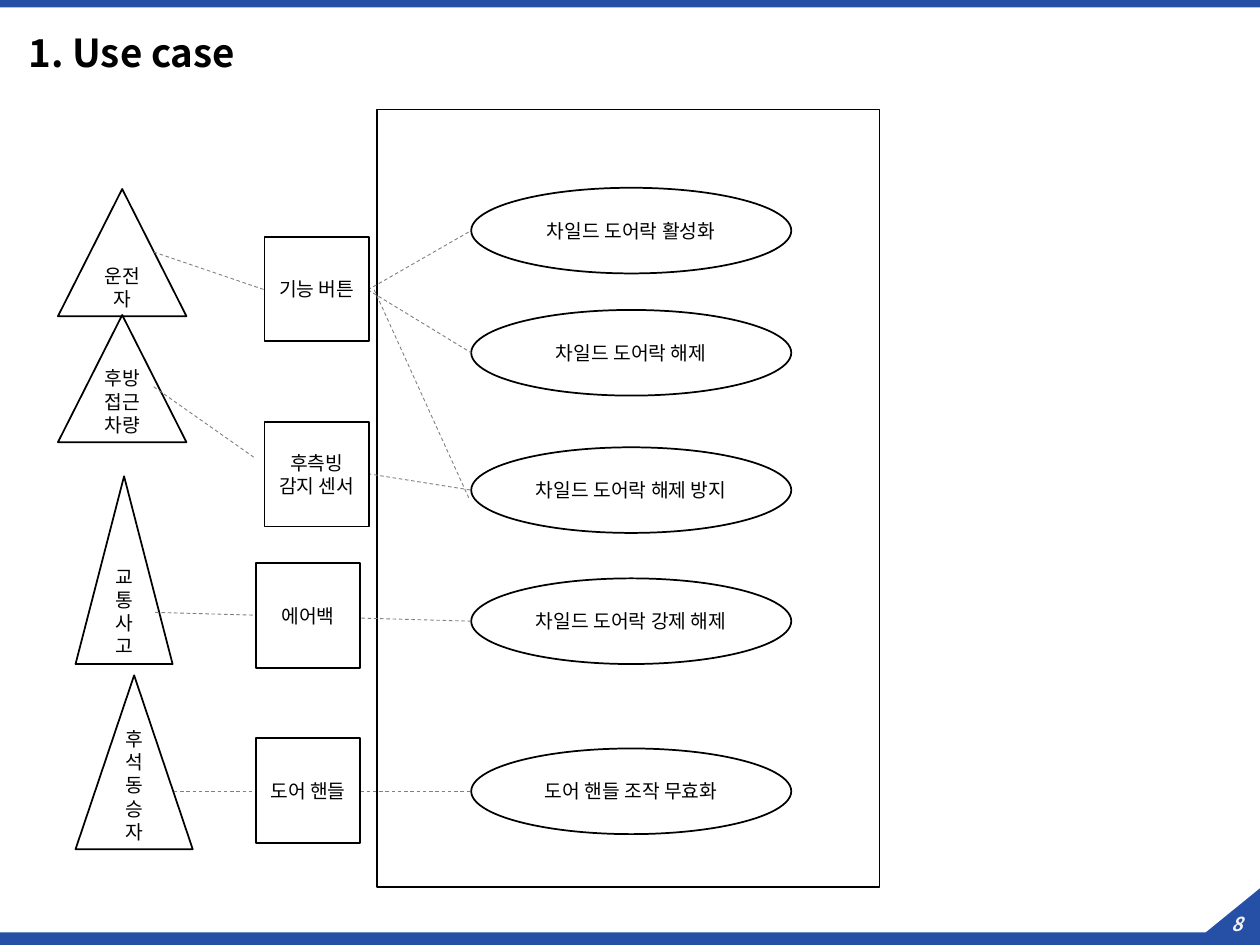
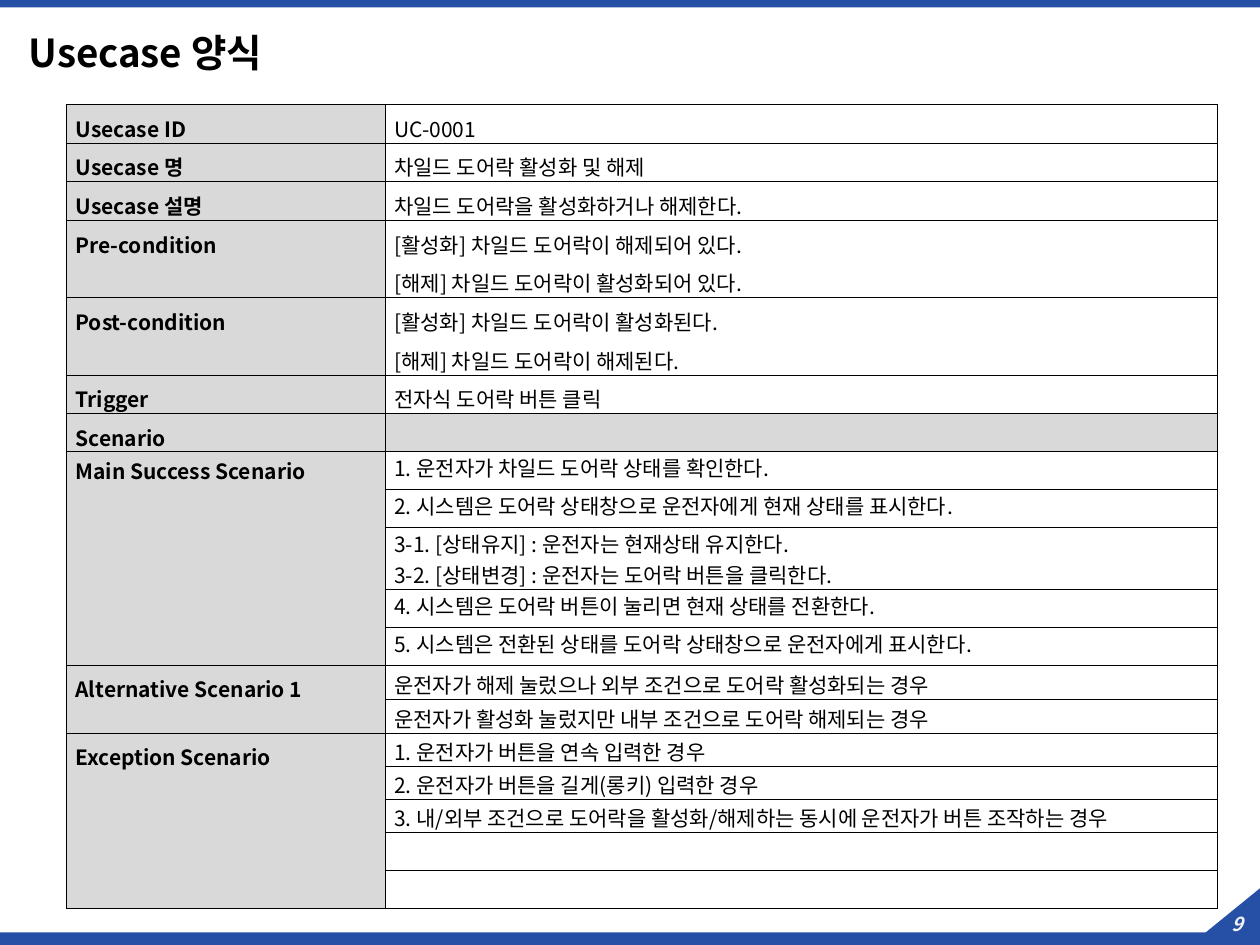
"""Build the use case diagram and the use case form."""
from lxml.etree import SubElement
from pptx import Presentation
from pptx.dml.color import RGBColor
from pptx.enum.dml import MSO_LINE
from pptx.enum.shapes import MSO_CONNECTOR, MSO_SHAPE
from pptx.enum.text import MSO_ANCHOR, PP_ALIGN
from pptx.oxml.ns import qn
from pptx.util import Inches, Pt

FONT = "Noto Sans CJK KR"
BLUE = RGBColor(0x25, 0x50, 0xA6)
BLACK = RGBColor(0, 0, 0)
WHITE = RGBColor(255, 255, 255)
PALE = RGBColor(0xF2, 0xF2, 0xF2)
GRAY = RGBColor(0x80, 0x80, 0x80)
HEADING_FILL = RGBColor(0xD9, 0xD9, 0xD9)

FOOTER_OUTLINE = [(10, 7.05), (10, 7.5), (0, 7.5), (0, 7.4), (9.57, 7.4)]

SYSTEM_BOUNDARY = (2.99, 0.87, 3.99, 6.17)
ACTORS = [
    ("운전자", 0.46, 1.5, 1.02, 1.01),
    ("후방 접근 차량", 0.46, 2.5, 1.02, 1.01),
    ("교통사고", 0.6, 3.78, 0.77, 1.49),
    ("후석 동승자", 0.6, 5.36, 0.93, 1.38),
]
USE_CASES = [
    ("차일드 도어락 활성화", 1.49),
    ("차일드 도어락 해제", 2.46),
    ("차일드 도어락 해제 방지", 3.55),
    ("차일드 도어락 강제 해제", 4.59),
    ("도어 핸들 조작 무효화", 5.94),
]
DEVICES = [
    ("기능 버튼", 2.1, 1.88),
    ("후측빙 감지 센서", 2.1, 3.35),
    ("에어백", 2.03, 4.47),
    ("도어 핸들", 2.03, 5.86),
]
USE_CASE_LEFT, USE_CASE_SIZE = 3.74, (2.54, 0.68)
DEVICE_SIZE = (0.83, 0.83)
LINKS = [
    (2.92, 2.3, 3.74, 1.83),
    (2.92, 2.3, 3.74, 2.8),
    (2.97, 2.3, 3.72, 3.95),
    (2.92, 3.76, 3.74, 3.89),
    (3.74, 4.93, 1.22, 4.86),
    (1.22, 2, 2.1, 2.3),
    (1.22, 3.07, 2.03, 3.64),
    (1.38, 6.28, 2.03, 6.28),
    (2.86, 6.28, 3.74, 6.28),
]

NATURAL_LINE = 17.4
PLAIN = (4.7, None)
TIGHT = (5.6, 13.9)
STEP = (3.5, 14.3)
EXCEPTION = (4.7, 14.2)
FORM = [
    ("Usecase ID", PLAIN, PLAIN, 0.3, [["UC-0001"]]),
    ("Usecase 명", PLAIN, PLAIN, 0.3, [["차일드 도어락 활성화 및 해제"]]),
    ("Usecase 설명", PLAIN, PLAIN, 0.3, [["차일드 도어락을 활성화하거나 해제한다."]]),
    ("Pre-condition", PLAIN, PLAIN, 0.3, [
        ["[활성화] 차일드 도어락이 해제되어 있다.", "[해제] 차일드 도어락이 활성화되어 있다."]]),
    ("Post-condition", PLAIN, PLAIN, 0.3, [
        ["[활성화] 차일드 도어락이 활성화된다.", "[해제] 차일드 도어락이 해제된다."]]),
    ("Trigger", PLAIN, PLAIN, 0.3, [["전자식 도어락 버튼 클릭"]]),
    ("Scenario", PLAIN, PLAIN, 0.3, [[]]),
    ("Main Success Scenario", TIGHT, STEP, 0.3, [
        ["1. 운전자가 차일드 도어락 상태를 확인한다."],
        ["2. 시스템은 도어락 상태창으로 운전자에게 현재 상태를 표시한다."],
        ["3-1. [상태유지] : 운전자는 현재상태 유지한다.",
         "3-2. [상태변경] : 운전자는 도어락 버튼을 클릭한다."],
        ["4. 시스템은 도어락 버튼이 눌리면 현재 상태를 전환한다."],
        ["5. 시스템은 전환된 상태를 도어락 상태창으로 운전자에게 표시한다."]]),
    ("Alternative Scenario 1", PLAIN, TIGHT, 0.27, [
        ["운전자가 해제 눌렀으나 외부 조건으로 도어락 활성화되는 경우"],
        ["운전자가 활성화 눌렀지만 내부 조건으로 도어락 해제되는 경우"]]),
    ("Exception Scenario", PLAIN, EXCEPTION, 0.26, [
        ["1. 운전자가 버튼을 연속 입력한 경우"],
        ["2. 운전자가 버튼을 길게(롱키) 입력한 경우"],
        ["3. 내/외부 조건으로 도어락을 활성화/해제하는 동시에 운전자가 버튼 조작하는 경우"],
        [], []]),
]
FORM_LEFT, FORM_TOP = 0.53, 0.83
FORM_COLUMNS = (2.53, 6.6)
EMPTY_ROW_HEIGHT = 0.3


def inches(values):
    return [Inches(value) for value in values]


def write(para, text, color=BLACK, **formats):
    span = para.add_run()
    span.text = text
    span.font.color.rgb = color
    span.font.name = FONT
    for name, value in formats.items():
        setattr(span.font, name, value)
    SubElement(span.font._element, qn("a:ea"), typeface=FONT)


def paint(shape, fill, outline=None):
    shape.shadow.inherit = False
    shape.fill.solid()
    shape.fill.fore_color.rgb = fill
    if outline is None:
        shape.line.fill.background()
    else:
        shape.line.color.rgb = outline
        shape.line.width = Pt(1)


def add_text(page, place):
    box = page.shapes.add_textbox(*inches(place))
    box.text_frame.word_wrap = True
    box.text_frame.vertical_anchor = MSO_ANCHOR.MIDDLE
    return box.text_frame


def add_page(deck, title, number):
    page = deck.slides.add_slide(deck.slide_layouts[6])
    band = page.shapes.add_shape(MSO_SHAPE.RECTANGLE, *inches((0, 0, 10, 0.06)))
    paint(band, BLUE)
    start, *corners = [tuple(inches(point)) for point in FOOTER_OUTLINE]
    builder = page.shapes.build_freeform(*start)
    builder.add_line_segments(corners, close=True)
    paint(builder.convert_to_shape(), BLUE)

    number_frame = add_text(page, (9.61, 7.19, 0.42, 0.29))
    for side in ("left", "top", "right", "bottom"):
        setattr(number_frame, f"margin_{side}", 0)
    para = number_frame.paragraphs[0]
    para.alignment = PP_ALIGN.CENTER
    write(para, str(number), PALE, size=Pt(11), bold=True, italic=True)

    para = add_text(page, (0.13, 0.21, 9.47, 0.46)).paragraphs[0]
    para.line_spacing = 0.9
    write(para, title, size=Pt(22), bold=True)
    return page


def add_node(page, kind, text, place, anchor=MSO_ANCHOR.MIDDLE):
    node = page.shapes.add_shape(kind, *inches(place))
    paint(node, WHITE, BLACK)
    if text:
        node.text_frame.word_wrap = True
        node.text_frame.vertical_anchor = anchor
        para = node.text_frame.paragraphs[0]
        para.alignment = PP_ALIGN.CENTER
        write(para, text, size=Pt(11))


def add_link(page, ends):
    link = page.shapes.add_connector(MSO_CONNECTOR.STRAIGHT, *inches(ends))
    link.line.color.rgb = GRAY
    link.line.width = Pt(0.5)
    link.line.dash_style = MSO_LINE.DASH
    SubElement(link._element.spPr, qn("a:effectLst"))


def draw_diagram(page):
    add_node(page, MSO_SHAPE.RECTANGLE, "", SYSTEM_BOUNDARY)
    for text, *place in ACTORS:
        add_node(page, MSO_SHAPE.ISOSCELES_TRIANGLE, text, place, MSO_ANCHOR.BOTTOM)
    for text, top in USE_CASES:
        add_node(page, MSO_SHAPE.OVAL, text, (USE_CASE_LEFT, top, *USE_CASE_SIZE))
    for ends in LINKS:
        add_link(page, ends)
    for text, left, top in DEVICES:
        add_node(page, MSO_SHAPE.RECTANGLE, text, (left, top, *DEVICE_SIZE))


def style_cell(cell, fill):
    properties = cell._tc.get_or_add_tcPr()
    for side in ("lnL", "lnR", "lnT", "lnB"):
        border = SubElement(properties, qn(f"a:{side}"), w=str(Pt(0.75)))
        solid = SubElement(border, qn("a:solidFill"))
        SubElement(solid, qn("a:srgbClr"), val=str(BLACK))
    cell.fill.solid()
    cell.fill.fore_color.rgb = fill
    cell.margin_left = Inches(0.07)
    cell.margin_top = cell.margin_right = cell.margin_bottom = 0
    SubElement(cell.text_frame.paragraphs[0]._p, qn("a:endParaRPr"), sz="1200")


def fill_cell(cell, lines, spacing, bold=False):
    gap, line_height = spacing
    if lines:
        cell.margin_top = Pt(gap)
    for index, line in enumerate(lines):
        frame = cell.text_frame
        para = frame.add_paragraph() if index else frame.paragraphs[0]
        if index:
            para.space_before = Pt(gap)
        if line_height:
            para.line_spacing = Pt(line_height)
        write(para, line, size=Pt(12), bold=bold)


def row_height(lines, spacing, least):
    if not lines:
        return Inches(EMPTY_ROW_HEIGHT)
    gap, line_height = spacing
    return max(Inches(least), Pt(len(lines) * (gap + (line_height or NATURAL_LINE))))


def draw_form(page):
    heights = [row_height(lines, spacing, least)
               for _, _, spacing, least, rows in FORM for lines in rows]
    frame = page.shapes.add_table(
        len(heights), 2, Inches(FORM_LEFT), Inches(FORM_TOP),
        Inches(sum(FORM_COLUMNS)), sum(heights))
    table = frame.table
    table.first_row = table.horz_banding = False
    for column, width in zip(table.columns, FORM_COLUMNS):
        column.width = Inches(width)
    for row, height in zip(table.rows, heights):
        row.height = height

    first = 0
    for heading, heading_spacing, spacing, _, rows in FORM:
        for offset, lines in enumerate(rows):
            label, value = table.rows[first + offset].cells
            style_cell(label, HEADING_FILL)
            style_cell(value, HEADING_FILL if heading == "Scenario" else WHITE)
            fill_cell(value, lines, spacing)
        last = first + len(rows) - 1
        label = table.cell(first, 0)
        fill_cell(label, [heading], heading_spacing, bold=True)
        if last > first:
            label.merge(table.cell(last, 0))
        first = last + 1


def main():
    deck = Presentation()
    deck.slide_width, deck.slide_height = Inches(10), Inches(7.5)
    draw_diagram(add_page(deck, "1. Use case", 8))
    draw_form(add_page(deck, "Usecase 양식", 9))
    deck.save("out.pptx")


if __name__ == "__main__":
    main()
